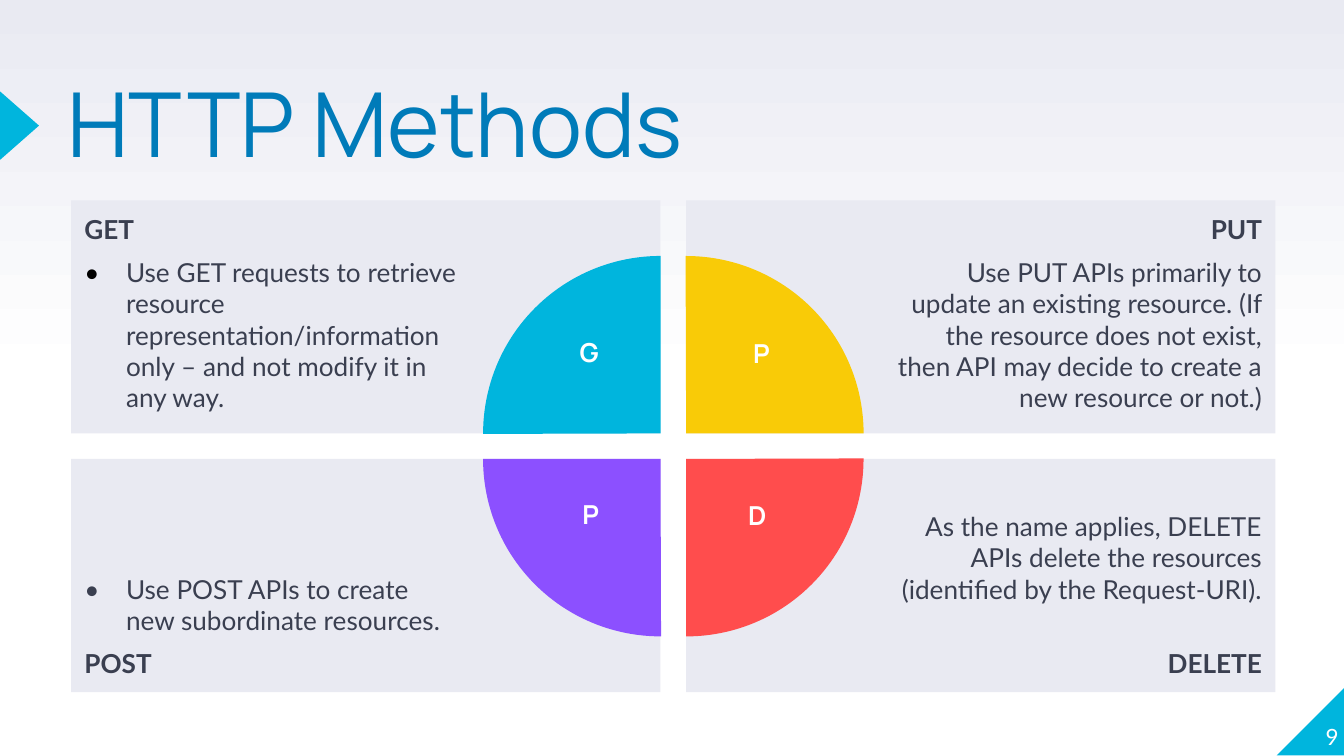
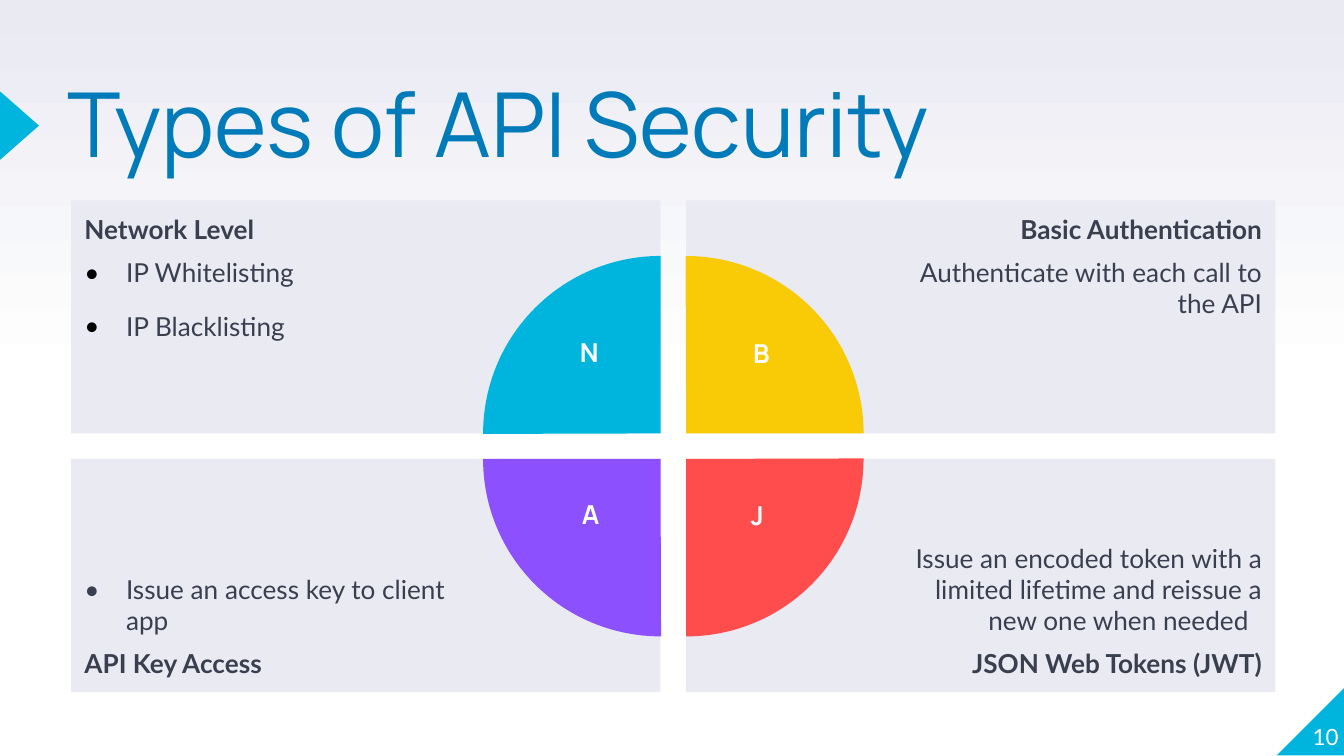
from dataclasses import dataclass

from lxml import etree
from pptx import Presentation
from pptx.dml.color import RGBColor
from pptx.enum.shapes import MSO_SHAPE
from pptx.enum.text import MSO_ANCHOR, MSO_AUTO_SIZE, PP_ALIGN
from pptx.oxml.ns import qn
from pptx.util import Inches, Pt

RECTANGLE, PIE = MSO_SHAPE.RECTANGLE, MSO_SHAPE.PIE
TRIANGLE, CORNER = MSO_SHAPE.ISOSCELES_TRIANGLE, MSO_SHAPE.RIGHT_TRIANGLE
TOP, BOTTOM = MSO_ANCHOR.TOP, MSO_ANCHOR.BOTTOM
LEFT, CENTER, RIGHT = PP_ALIGN.LEFT, PP_ALIGN.CENTER, PP_ALIGN.RIGHT
NO_AUTOFIT = MSO_AUTO_SIZE.NONE
TITLE_ONLY = 5

WHITE = RGBColor(0xFF, 0xFF, 0xFF)
BLACK = RGBColor(0x00, 0x00, 0x00)
MIST = RGBColor(0xE9, 0xEA, 0xF2)
SLATE = RGBColor(0x3A, 0x3F, 0x50)
BLUE = RGBColor(0x00, 0x7B, 0xB9)
CYAN = RGBColor(0x00, 0xB5, 0xDD)
YELLOW = RGBColor(0xF9, 0xCB, 0x07)
RED = RGBColor(0xFF, 0x4D, 0x4D)
VIOLET = RGBColor(0x8C, 0x50, 0xFF)

TITLE_FONT = dict(name="Manrope", size=Pt(48), bold=False, color=BLUE)
LETTER_FONT = dict(name="Manrope", size=Pt(14), bold=True, color=WHITE)
HEADING_FONT = dict(name="Lato", size=Pt(14), bold=True, color=SLATE)
BODY_FONT = dict(HEADING_FONT, bold=False)
NUMBER_FONT = dict(name="Lato", size=Pt(12), bold=False, color=WHITE)

SLIDE_WIDTH = 10
SLIDE_HEIGHT = SLIDE_WIDTH * 9 / 16
GAP = 0.19
PIE_SIZE = 2.64
PADDING, PIE_PADDING = 0.1, 1.5
BULLET_INDENT = 0.31


@dataclass
class Box:
    left: float
    top: float
    width: float
    height: float

    def emu(self):
        return [Inches(v) for v in (self.left, self.top, self.width, self.height)]

    def cell(self, column, row):
        """Return one cell of a two by two grid with equal gaps."""
        width, height = (self.width - GAP) / 2, (self.height - GAP) / 2
        return Box(self.left + column * (width + GAP),
                   self.top + row * (height + GAP), width, height)


def centred_box(x, y, width, height):
    return Box(x - width / 2, y - height / 2, width, height)


DIAGRAM = Box(0.53, 1.49, 8.96, 3.66)


@dataclass
class Quadrant:
    column: int
    row: int
    color: RGBColor
    rotation: int
    letter_offset: tuple  # from the inner corner of the card
    letter_width: float


QUADRANTS = [
    Quadrant(0, 0, CYAN, 0, (-0.53, -0.53), 0.38),
    Quadrant(1, 0, YELLOW, 90, (0.56, -0.52), 0.71),
    Quadrant(1, 1, RED, 180, (0.53, 0.5), 0.4),
    Quadrant(0, 1, VIOLET, 270, (-0.52, 0.49), 0.47),
]


@dataclass
class Topic:
    letter: str
    heading: str
    points: list
    space_after: int = 0  # below the points of a bottom card


def apply(target, values):
    for name, value in values.items():
        setattr(target, name, value)


def set_margins(frame, left=0, top=0, right=0, bottom=0):
    apply(frame, dict(margin_left=Inches(left), margin_top=Inches(top),
                      margin_right=Inches(right), margin_bottom=Inches(bottom)))


def write(paragraph, text, font, **spacing):
    run = paragraph.add_run()
    run.text = text
    apply(run.font, {k: v for k, v in font.items() if k != "color"})
    run.font.color.rgb = font["color"]
    apply(paragraph, spacing)


def add_bullet(paragraph, color):
    properties = paragraph._p.get_or_add_pPr()
    properties.set("marL", str(Inches(BULLET_INDENT)))
    properties.set("indent", str(-Inches(BULLET_INDENT)))
    bullet_color = etree.SubElement(properties, qn("a:buClr"))
    etree.SubElement(bullet_color, qn("a:srgbClr"), val=str(color))
    etree.SubElement(properties, qn("a:buFont"), typeface="Lato")
    etree.SubElement(properties, qn("a:buChar"), char="•")


def add_filled(slide, kind, box, color, rotation=0):
    shape = slide.shapes.add_shape(kind, *box.emu())
    shape.shadow.inherit = False
    shape.fill.solid()
    shape.fill.fore_color.rgb = color
    shape.line.fill.background()
    shape.rotation = rotation
    return shape


def add_label(slide, box, text, font, alignment):
    frame = slide.shapes.add_textbox(*box.emu()).text_frame
    frame.word_wrap = True
    write(frame.paragraphs[0], text, font, alignment=alignment)
    return frame


def set_background(master):
    fill = master.background.fill
    fill.gradient()
    fill.gradient_angle = 90
    for stop, position, color in zip(fill.gradient_stops, (0.5, 1), (WHITE, MIST)):
        stop.position = position
        stop.color.rgb = color


def add_decoration(slide, number):
    side = 0.51
    corner = add_filled(slide, CORNER, Box(9.5, 5.11, side, side), CYAN)
    corner._element.spPr.find(qn("a:xfrm")).set("flipH", "1")
    add_filled(slide, TRIANGLE, Box(-0.11, 0.79, side, 0.29), CYAN, 90)
    frame = add_label(slide, Box(9.46, 5.07, 0.5, side), str(number), NUMBER_FONT, RIGHT)
    set_margins(frame)
    frame.vertical_anchor = BOTTOM


def set_title(slide, text, width):
    title = slide.shapes.title
    title.left, title.top, title.width, title.height = Box(0.5, 0.66, width, 1.18).emu()
    frame = title.text_frame
    apply(frame, dict(auto_size=NO_AUTOFIT, vertical_anchor=TOP, word_wrap=True))
    set_margins(frame)
    write(frame.paragraphs[0], text, TITLE_FONT, alignment=LEFT, line_spacing=0.8)


def add_card(slide, box, quadrant, topic):
    """Add a panel whose heading is at its outer edge, clear of the pie."""
    at_right, at_bottom = quadrant.column == 1, quadrant.row == 1
    frame = add_filled(slide, RECTANGLE, box, MIST).text_frame
    apply(frame, dict(word_wrap=True, vertical_anchor=BOTTOM if at_bottom else TOP))
    set_margins(frame, PIE_PADDING if at_right else PADDING, PADDING,
                PADDING if at_right else PIE_PADDING, PADDING)
    wide = dict(space_before=Pt(6), space_after=Pt(6))
    plain = dict(space_before=Pt(0), space_after=Pt(0))
    heading = (topic.heading, HEADING_FONT, wide if at_bottom else plain)
    point_spacing = dict(plain, space_after=Pt(topic.space_after)) if at_bottom else wide
    points = [(point, BODY_FONT, point_spacing) for point in topic.points]
    lines = points + [heading] if at_bottom else [heading] + points
    for index, (text, font, spacing) in enumerate(lines):
        paragraph = frame.add_paragraph() if index else frame.paragraphs[0]
        write(paragraph, text, font, alignment=RIGHT if at_right else LEFT, **spacing)
        if font is BODY_FONT and not at_right:
            add_bullet(paragraph, SLATE if at_bottom else BLACK)


def add_diagram(slide, box, topics):
    """Add four cards around a split pie; topics run clockwise from top left."""
    placed = []
    for quadrant, topic in zip(QUADRANTS, topics):
        card = box.cell(quadrant.column, quadrant.row)
        add_card(slide, card, quadrant, topic)
        corner = (card.left + (1 - quadrant.column) * card.width,
                  card.top + (1 - quadrant.row) * card.height)
        placed.append((quadrant, topic, corner))
    for quadrant, _, corner in placed:
        pie = add_filled(slide, PIE, centred_box(*corner, PIE_SIZE, PIE_SIZE),
                         quadrant.color, quadrant.rotation)
        pie.adjustments[0], pie.adjustments[1] = 107.89, 162
    for quadrant, topic, (x, y) in placed:
        dx, dy = quadrant.letter_offset
        letter_box = centred_box(x + dx, y + dy, quadrant.letter_width, 0.49)
        add_label(slide, letter_box, topic.letter, LETTER_FONT, CENTER)


def add_quadrant_slide(deck, number, title, title_width, topics):
    slide = deck.slides.add_slide(deck.slide_layouts[TITLE_ONLY])
    set_title(slide, title, title_width)
    add_decoration(slide, number)
    add_diagram(slide, DIAGRAM, topics)


HTTP_METHODS = [
    Topic("G", "GET", ["Use GET requests to retrieve resource representation/information "
                       "only – and not modify it in any way."]),
    Topic("P", "PUT", ["Use PUT APIs primarily to update an existing resource. (If the "
                       "resource does not exist, then API may decide to create a new "
                       "resource or not.)"]),
    Topic("D", "DELETE", ["As the name applies, DELETE APIs delete the resources "
                          "(identified by the Request-URI)."], space_after=17),
    Topic("P", "POST", ["Use POST APIs to create new subordinate resources."]),
]

API_SECURITY = [
    Topic("N", "Network Level", ["IP Whitelisting", "IP Blacklisting"]),
    Topic("B", "Basic Authentication", ["Authenticate with each call to the API"]),
    Topic("J", "JSON Web Tokens (JWT)", ["Issue an encoded token with a limited lifetime "
                                         "and reissue a new one when needed  "]),
    Topic("A", "API Key Access", ["Issue an access key to client app"]),
]


def main():
    deck = Presentation()
    deck.slide_width, deck.slide_height = Inches(SLIDE_WIDTH), Inches(SLIDE_HEIGHT)
    set_background(deck.slide_master)
    add_quadrant_slide(deck, 9, "HTTP Methods", 6.17, HTTP_METHODS)
    add_quadrant_slide(deck, 10, "Types of API Security", 7.18, API_SECURITY)
    deck.save("out.pptx")


if __name__ == "__main__":
    main()
